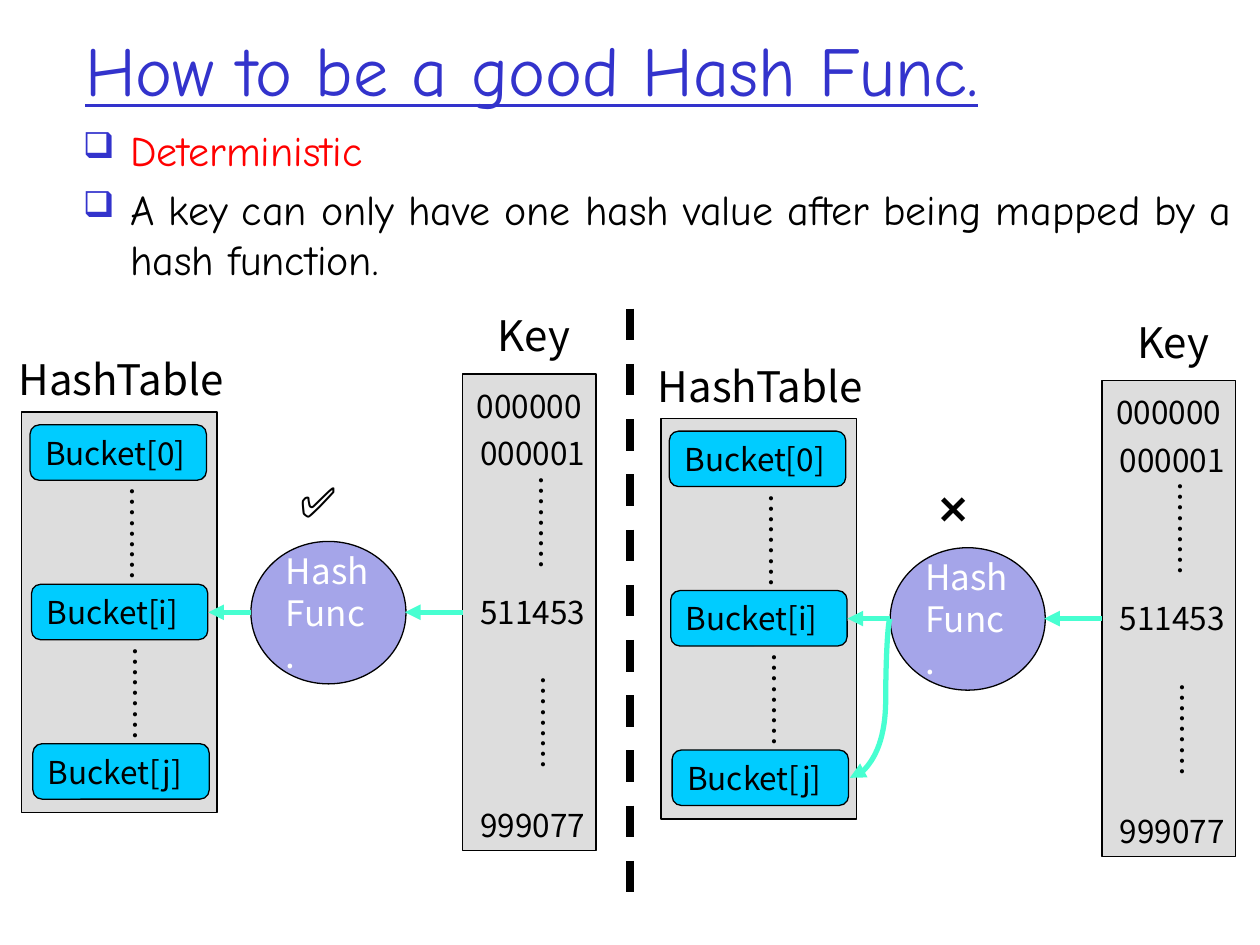
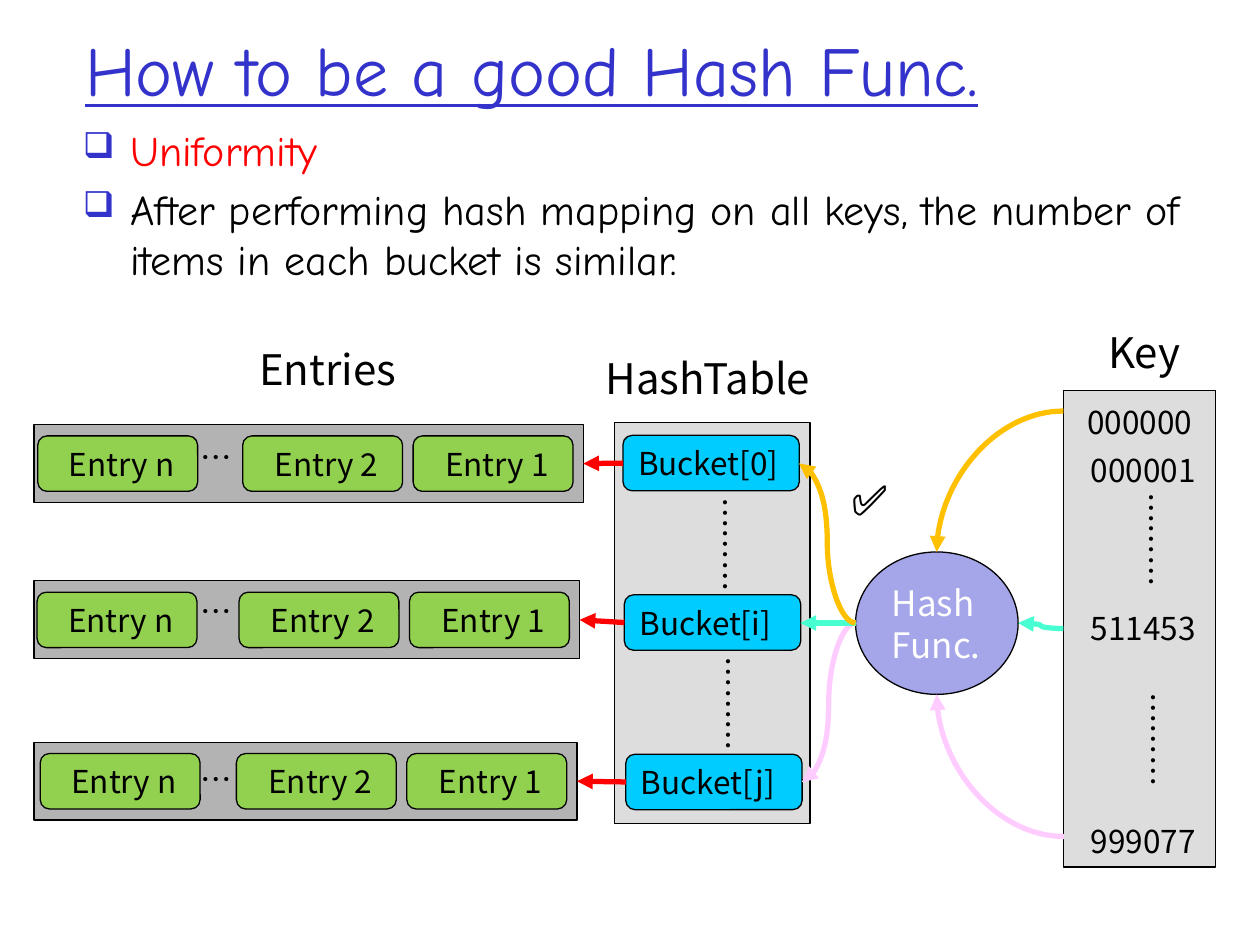
from collections import namedtuple
from dataclasses import dataclass

from lxml.etree import SubElement as Sub
from pptx import Presentation
from pptx.dml.color import RGBColor
from pptx.enum.dml import MSO_LINE
from pptx.enum.shapes import MSO_CONNECTOR as CONN, MSO_SHAPE as SHAPE
from pptx.enum.text import MSO_ANCHOR as ANCHOR, PP_ALIGN as ALIGN
from pptx.oxml.ns import qn
from pptx.util import Pt

Box = namedtuple("Box", "x y w h")


@dataclass(frozen=True)
class Theme:
    """Colours, fonts and sizes shared by both slides."""
    ink: str = "000000"
    white: str = "FFFFFF"
    title: str = "3333CC"
    red: str = "FF0000"
    panel: str = "DDDDDD"
    row: str = "B3B3B3"
    bucket: str = "00CCFF"
    entry: str = "92D050"
    hash: str = "A5A5E9"
    mint: str = "47FFD1"
    gold: str = "FFC000"
    pink: str = "FFCCFF"
    hand: str = "Comic Neue"
    sans: str = "Noto Sans CJK JP"
    serif: str = "Times New Roman"
    title_size: float = 40
    head_size: float = 24
    hash_size: float = 20
    item_size: float = 18
    outline: float = 0.75
    arrow: float = 3
    divider: float = 4.5


T = Theme()
LABEL_W = 162.72
TITLE_BOX = Box(41.76, 18, 612, 42.5)
BODY_BOX = Box(40.3, 67.7, 676.8, 113)
BUCKETS = ("Bucket[0]", "Bucket[i]", "Bucket[j]")
KEYS = (("000000", 0, 3.6), ("000001", 2, 30.8), ("511453", 2, 121.5), ("999077", 2, 243))


def rgb(color):
    """Turn a hex string into a colour."""
    return RGBColor.from_string(color)


def style(p, size, color=T.ink, font=T.sans, align=ALIGN.LEFT):
    """Format every run of a paragraph."""
    p.alignment = align
    for r in p.runs:
        r.font.size = Pt(size)
        r.font.name = font
        r.font.color.rgb = rgb(color)


def set_asian_font(sp):
    """Use the Latin font for East Asian symbols too."""
    for latin in list(sp.element.iter(qn("a:latin"))):
        ea = latin.makeelement(qn("a:ea"), {"typeface": latin.get("typeface")})
        latin.addnext(ea)


def add_text(s, text, box, size, color=T.ink, font=T.sans, align=ALIGN.LEFT):
    """Add a wrapped text box of one paragraph."""
    sp = s.shapes.add_textbox(*map(Pt, box))
    tf = sp.text_frame
    tf.word_wrap = True
    tf.text = text
    style(tf.paragraphs[0], size, color, font, align)
    set_asian_font(sp)
    return sp


def add_label(s, text, cx, top, size=T.item_size):
    """Add a text box centred on cx."""
    box = Box(cx - LABEL_W / 2, top, LABEL_W, size * 1.6)
    return add_text(s, text, box, size, align=ALIGN.CENTER)


def add_dots(s, cx, cy):
    """Add a vertical dotted gap centred on a point."""
    add_label(s, "………", cx, cy - T.item_size * 0.8).rotation = 90


def add_block(s, kind, box, fill, text="", size=T.item_size, color=T.ink, align=ALIGN.LEFT):
    """Add an outlined shape with optional text."""
    sp = s.shapes.add_shape(kind, *map(Pt, box))
    sp.shadow.inherit = False
    sp.fill.solid()
    sp.fill.fore_color.rgb = rgb(fill)
    sp.line.color.rgb = rgb(T.ink)
    sp.line.width = Pt(T.outline)
    if text:
        sp.text_frame.text = text
        style(sp.text_frame.paragraphs[0], size, color, align=align)
        set_asian_font(sp)
    return sp


def add_line(s, kind, start, end, color, width=T.arrow, head=True):
    """Add a connector without shadow, with an arrowhead if wanted."""
    c = s.shapes.add_connector(kind, *map(Pt, (*start, *end)))
    c.line.color.rgb = rgb(color)
    c.line.width = Pt(width)
    if head:
        Sub(c.line._get_or_add_ln(), qn("a:tailEnd"), type="triangle")
    Sub(c.element.spPr, qn("a:effectLst"))
    return c


def add_curve(s, start, end, color, adj=0.5, preset="curvedConnector3"):
    """Add a curved arrow, bending at the share adj of its width."""
    c = add_line(s, CONN.CURVE, start, end, color)
    geom = c.element.spPr.find(qn("a:prstGeom"))
    geom.set("prst", preset)
    if preset == "curvedConnector3":
        av = geom.find(qn("a:avLst"))
        if av is None:
            av = Sub(geom, qn("a:avLst"))
        Sub(av, qn("a:gd"), name="adj1", fmla=f"val {round(adj * 100000)}")


def add_bullet(p):
    """Give a paragraph the hollow box bullet and hanging indent."""
    pPr = p._p.get_or_add_pPr()
    pPr.set("marL", str(Pt(27)))
    pPr.set("indent", str(-Pt(27)))
    Sub(Sub(pPr, qn("a:buClr")), qn("a:srgbClr"), val=T.title)
    Sub(pPr, qn("a:buSzPct"), val="85000")
    Sub(pPr, qn("a:buChar"), char="❑")


def add_heading(s, quality, meaning):
    """Add the underlined title and the two bullets."""
    sp = add_text(s, "How to be a good Hash Func.", TITLE_BOX, T.title_size, T.title, T.hand)
    sp.text_frame.vertical_anchor = ANCHOR.MIDDLE
    sp.text_frame.paragraphs[0].runs[0].font.underline = True
    tf = add_text(s, quality, BODY_BOX, T.head_size, T.red, T.hand).text_frame
    p = tf.add_paragraph()
    p.text = meaning
    style(p, T.head_size, font=T.hand)
    for p in tf.paragraphs:
        add_bullet(p)
    p.space_before = Pt(4.8)


def add_hash_table(s, box, label_dx, label_dy):
    """Add the bucket column and return its buckets."""
    add_block(s, SHAPE.RECTANGLE, box, T.panel)
    add_label(s, "HashTable", box.x + box.w / 2 + label_dx, box.y - label_dy, T.head_size)
    pitch, buckets = 91.1, []
    for i, name in enumerate(BUCKETS):
        b = Box(box.x + 4.8 + 0.8 * i, box.y + 7.4 + pitch * i, 100.8, 31.7)
        buckets.append(add_block(s, SHAPE.ROUNDED_RECTANGLE, b, T.bucket, name))
    for i in range(2):
        add_dots(s, box.x + 63.4 + 1.8 * i, box.y + 69.8 + pitch * i)
    return buckets


def add_keys(s, box):
    """Add the column of keys."""
    cx = box.x + box.w / 2
    add_block(s, SHAPE.RECTANGLE, box, T.panel)
    add_label(s, "Key", cx + 2.6, box.y - 40.3, T.head_size)
    for key, dx, dy in KEYS:
        add_label(s, key, cx + dx, box.y + dy)
    for i in range(2):
        add_dots(s, cx + 7 + 1.2 * i, box.y + 85 + 114.5 * i)


def add_hash_func(s, box, mark, mark_dx, mark_dy):
    """Add the hash function and its verdict mark."""
    add_block(s, SHAPE.OVAL, box, T.hash, "Hash Func.", T.hash_size, T.white)
    mark_box = Box(box.x + mark_dx, box.y - mark_dy, 46.1, 36)
    add_text(s, mark, mark_box, T.head_size, font=T.serif)


def add_mapping(s, box, mark):
    """Add one key-to-bucket diagram and return the hash output point."""
    x, y = box.x, box.y
    add_hash_table(s, Box(x, y + 62, 111.6, 229), 1, 36.7)
    add_keys(s, Box(x + 252, y + 40.4, 76.3, 272.2))
    add_hash_func(s, Box(x + 131, y + 136, 88.6, 81.4), mark, 20.9, 41)
    mid = y + 176.5
    add_curve(s, (x + 252, mid), (x + 219, mid), T.mint)
    add_curve(s, (x + 131, mid), (x + 106.6, mid), T.mint)
    return x + 131, mid


def add_entries(s, box, first_x, dots_dy):
    """Add one row of entries and return the row."""
    row = add_block(s, SHAPE.RECTANGLE, box, T.row)
    right = box.x + box.w - 97.2
    for name, x in (("Entry 1", right), ("Entry 2", right - 97.4), ("Entry n", first_x)):
        sp = add_block(s, SHAPE.ROUNDED_RECTANGLE, Box(x, box.y + 6.5, 91.4, 31.7),
                       T.entry, name, align=ALIGN.CENTER)
        sp.text_frame.margin_left = Pt(11.5)
    add_label(s, "…", box.x + 104.4, box.y + dots_dy)
    return row


def build_deterministic(s):
    """Compare a single-valued mapping with an ambiguous one."""
    add_heading(s, "Deterministic",
                "A key can only have one hash value after being mapped by a hash function.")
    good = Box(12.4, 173.4, 328.3, 312.6)
    bad = good._replace(x=good.x + 365.3, y=good.y + 3.6)
    add_mapping(s, good, "✅")
    divider = add_line(s, CONN.STRAIGHT, (360, 176.4), (360, 523.4), T.ink, T.divider, False)
    divider.line.dash_style = MSO_LINE.DASH
    x, mid = add_mapping(s, bad, "❌")
    add_curve(s, (x, mid), (x - 23, mid + 91), T.mint, adj=0.11)


def build_uniformity(s):
    """Show keys spread evenly over buckets and their entries."""
    add_heading(s, "Uniformity", "After performing hash mapping on all keys, "
                                 "the number of items in each bucket is similar.")
    add_label(s, "Entries", 187.2, 193, T.head_size)
    rows = [add_entries(s, Box(19.4, y, w, 44.6), first_x, dots_dy)
            for y, w, first_x, dots_dy in ((242.6, 313.9, 21.6, 4.3),
                                           (331.9, 311.8, 21.2, 3),
                                           (424.1, 310.3, 23, 6.5))]
    buckets = add_hash_table(s, Box(351.2, 241.4, 111.6, 229), -2.5, 43.4)
    add_keys(s, Box(607.7, 223.2, 87.1, 272.2))
    add_hash_func(s, Box(488.9, 315.4, 92.9, 81.4), "✅", -9.4, 48.2)
    for bucket, row in zip(buckets, rows):
        c = add_line(s, CONN.STRAIGHT, (355, 265), (333, 265), T.red)
        c.begin_connect(bucket, 1)
        c.end_connect(row, 3)
    top = (535.3, 315.4)
    bottom = (535.3, 396.8)
    left = (488.9, 356)
    add_curve(s, (607.7, 234.9), top, T.gold, preset="curvedConnector2")
    add_curve(s, (608, 478), bottom, T.pink, preset="curvedConnector2")
    add_curve(s, (607.7, 359.2), (581.8, 356), T.mint)
    add_curve(s, left, (458.2, 447), T.pink)
    add_curve(s, left, (457.4, 356), T.mint)
    add_curve(s, left, (456.6, 264.8), T.gold)


def main():
    """Build and save the slides."""
    prs = Presentation()
    prs.slide_width, prs.slide_height = Pt(720), Pt(540)
    for build in (build_deterministic, build_uniformity):
        build(prs.slides.add_slide(prs.slide_layouts[6]))
    prs.save("out.pptx")


if __name__ == "__main__":
    main()
